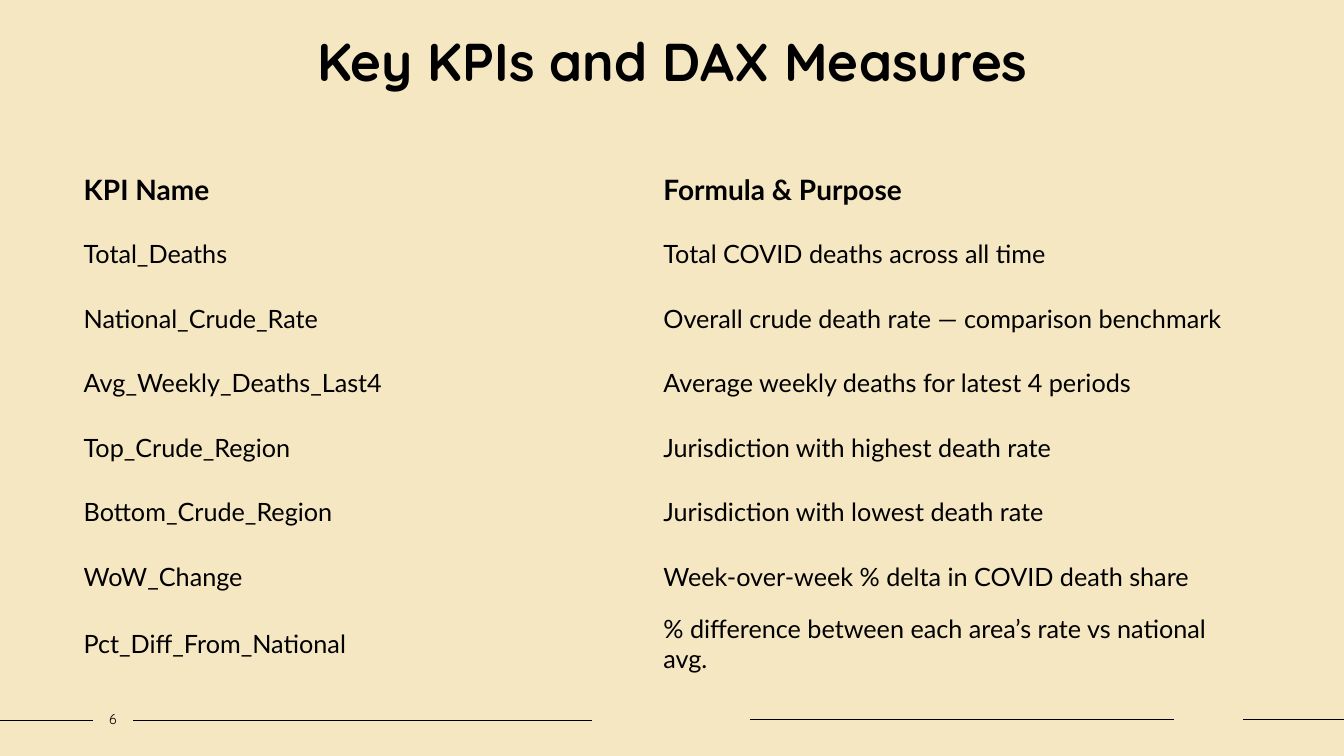
import pptx
import pptx.dml.color
import pptx.enum.shapes
import pptx.enum.text
import pptx.oxml.ns
import pptx.util
from lxml import etree

PX = 9144  # EMU per px, 100 px to the inch
INK = "000000"
PAPER = "F6E7C3"
HEADING_FONT = "Quicksand"
BODY_FONT = "Lato"
NO_GRID_STYLE = "{2D5ABB26-0587-4C30-8999-92F81FD0307C}"

KPIS = [
    ("KPI Name", "Formula & Purpose"),
    ("Total_Deaths", "Total COVID deaths across all time"),
    ("National_Crude_Rate", "Overall crude death rate — comparison benchmark"),
    ("Avg_Weekly_Deaths_Last4", "Average weekly deaths for latest 4 periods"),
    ("Top_Crude_Region", "Jurisdiction with highest death rate"),
    ("Bottom_Crude_Region", "Jurisdiction with lowest death rate"),
    ("WoW_Change", "Week-over-week % delta in COVID death share"),
    ("Pct_Diff_From_National", "% difference between each area’s rate vs national avg."),
]


def px(*lengths):
    return [pptx.util.Emu(length * PX) for length in lengths]


def colour(hex_code):
    return pptx.dml.color.RGBColor.from_string(hex_code)


def style(paragraph, font_name, size, bold=False, align=pptx.enum.text.PP_ALIGN.LEFT):
    paragraph.alignment = align
    paragraph.font.name = font_name
    paragraph.font.size = pptx.util.Pt(size)
    paragraph.font.bold = bold
    paragraph.font.color.rgb = colour(INK)


def add_title(slide, box):
    title = slide.shapes.title
    title.left, title.top, title.width, title.height = px(*box)
    title.text_frame.text = "Key KPIs and DAX Measures"
    title.text_frame.vertical_anchor = pptx.enum.text.MSO_ANCHOR.TOP
    style(title.text_frame.paragraphs[0], HEADING_FONT, 38, True,
          pptx.enum.text.PP_ALIGN.CENTER)


def add_kpi_table(slide, box):
    frame = slide.shapes.add_table(len(KPIS), len(KPIS[0]), *px(*box))
    kpi_table = frame.table
    kpi_table.horz_banding = False
    kpi_table.first_row = False
    style_id = frame._element.find(".//" + pptx.oxml.ns.qn("a:tableStyleId"))
    style_id.text = NO_GRID_STYLE
    for row, texts in enumerate(KPIS):
        for column, text in enumerate(texts):
            cell = kpi_table.cell(row, column)
            cell.text = text
            cell.fill.background()
            cell.vertical_anchor = pptx.enum.text.MSO_ANCHOR.MIDDLE
            is_header = row == 0
            style(cell.text_frame.paragraphs[0], BODY_FONT,
                  20 if is_header else 18, is_header)


def add_rule(slide, left, right, y):
    rule = slide.shapes.add_connector(
        pptx.enum.shapes.MSO_CONNECTOR.STRAIGHT, *px(left, y, right, y))
    rule.line.color.rgb = colour(INK)
    rule.line.width = pptx.util.Pt(1)
    etree.SubElement(rule._element.spPr, pptx.oxml.ns.qn("a:effectLst"))


def add_footer(slide, box):
    left, top, width, height = box
    # Broken rule, with gaps around the page number
    for start, end, drop in ((0, 92, 15), (132, 587, 15),
                             (744, 1164, 14), (1233, width, 14)):
        add_rule(slide, left + start, left + end, top + drop)
    # Page number in the first gap
    number = slide.shapes.add_textbox(*px(left + 92, top, 40, height)).text_frame
    number.word_wrap = True
    number.margin_left = number.margin_right = 0
    number.vertical_anchor = pptx.enum.text.MSO_ANCHOR.MIDDLE
    number.text = "6"
    style(number.paragraphs[0], HEADING_FONT, 10,
          align=pptx.enum.text.PP_ALIGN.CENTER)


def main():
    deck = pptx.Presentation()
    deck.slide_width, deck.slide_height = px(1333, 750)
    slide = deck.slides.add_slide(deck.slide_layouts.get_by_name("Title Only"))
    slide.background.fill.solid()
    slide.background.fill.fore_color.rgb = colour(PAPER)
    add_footer(slide, (0, 700, 1333, 27))
    add_title(slide, (125, 23, 1084, 111))
    add_kpi_table(slide, (73, 156, 1150, 512))
    deck.save("out.pptx")


if __name__ == "__main__":
    main()
